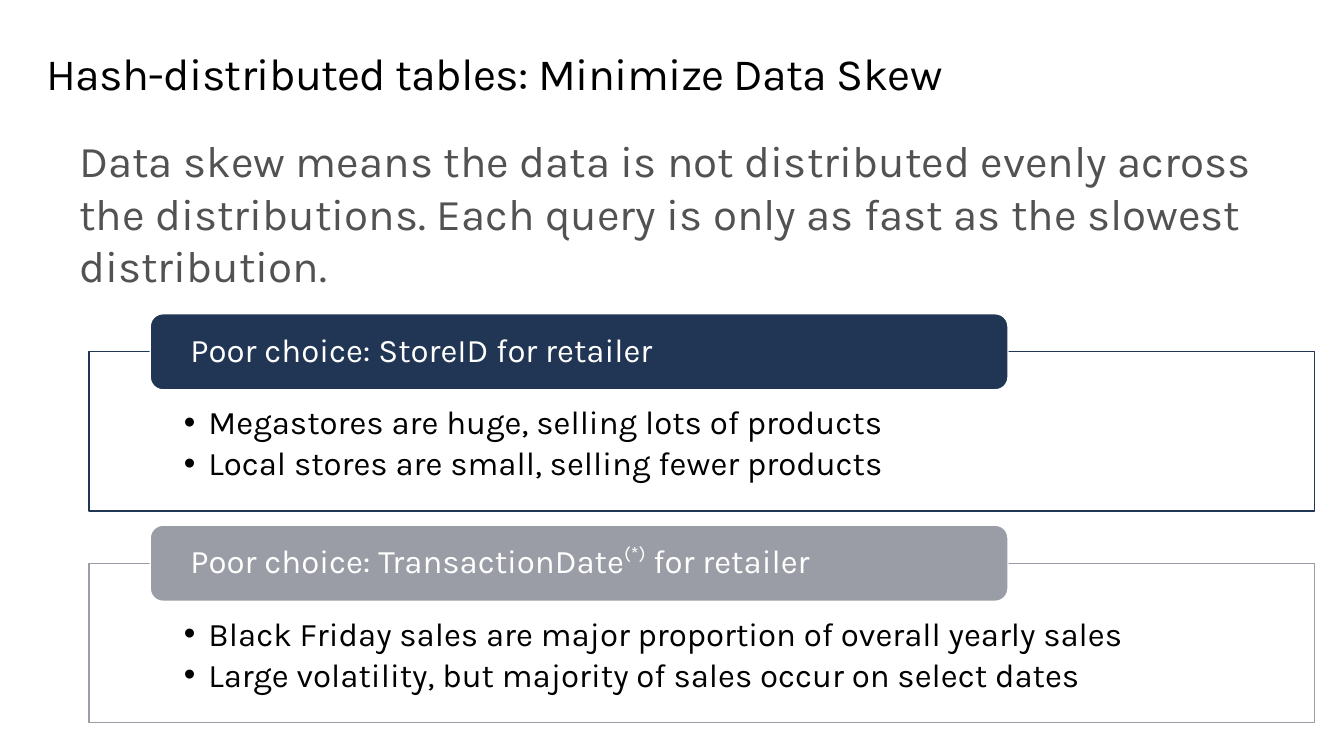
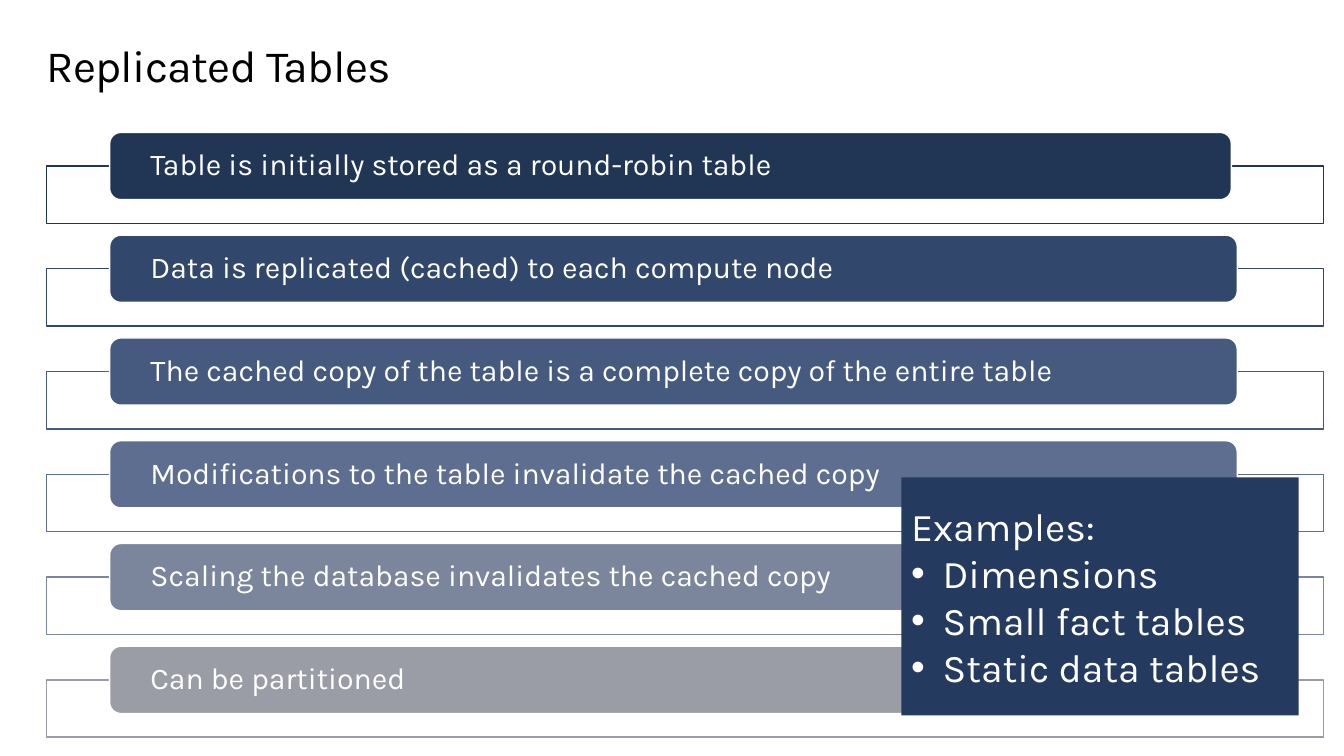
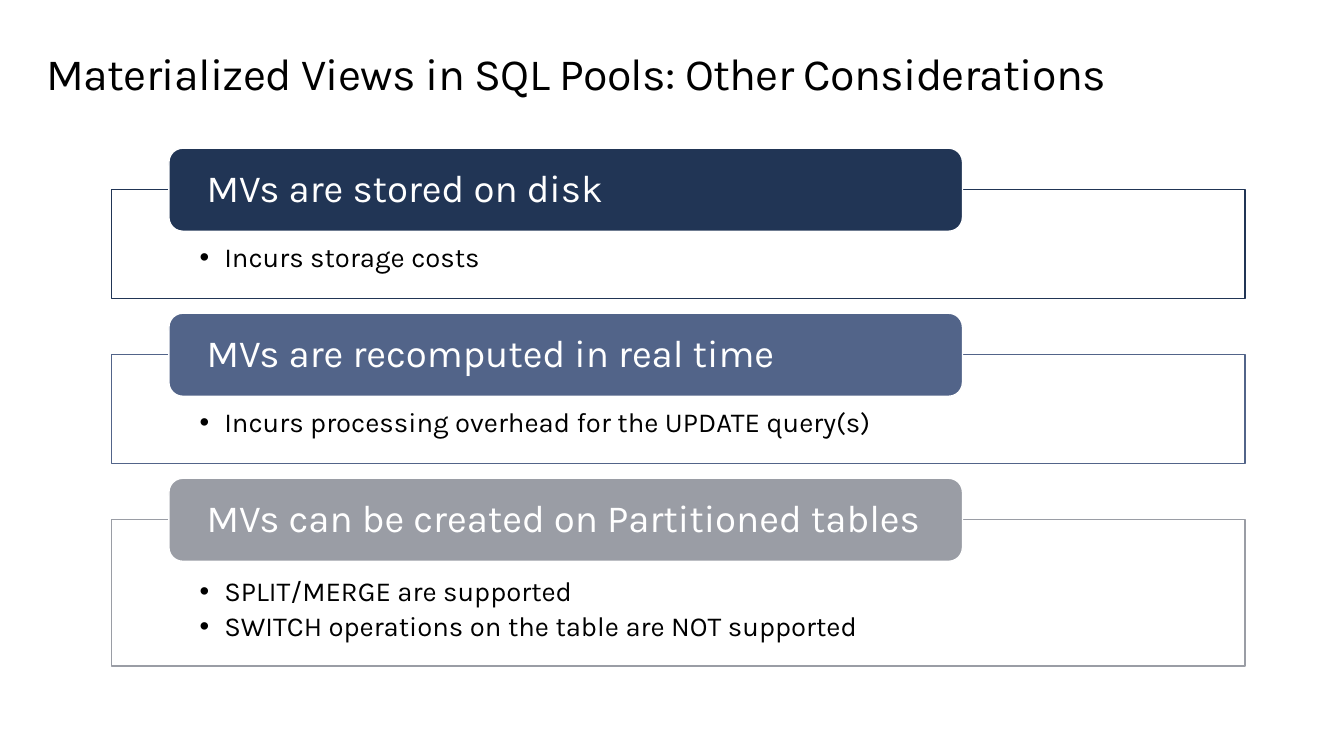
from lxml import etree
from pptx import Presentation
from pptx.dml.color import RGBColor
from pptx.enum.shapes import MSO_SHAPE
from pptx.enum.text import MSO_ANCHOR, PP_ALIGN
from pptx.oxml.ns import qn
from pptx.util import Inches, Pt

RECT, ROUNDED = MSO_SHAPE.RECTANGLE, MSO_SHAPE.ROUNDED_RECTANGLE
TOP, MIDDLE = MSO_ANCHOR.TOP, MSO_ANCHOR.MIDDLE
LEFT = PP_ALIGN.LEFT

FONT = "Karla"
COLORS = {
    "white": "FFFFFF", "black": "000000", "gray text": "525252",
    "navy": "213555", "callout navy": "243A5E", "blue 2": "32476C",
    "blue 3": "465A80", "blue 4": "5E6E91", "blue 5": "7B859B",
    "mid blue": "526489", "gray": "9A9DA5",
}

# Content: each section is (heading, colour, bullets); a heading is a list of
# runs, where a run in a tuple is superscript
SKEW_TITLE = "Hash-distributed tables: Minimize Data Skew"
SKEW_INTRO = ("Data skew means the data is not distributed evenly across the "
              "distributions. Each query is only as fast as the slowest distribution.")
SKEW_SECTIONS = [
    (["Poor choice: StoreID for retailer"], "navy",
     ["Megastores are huge, selling lots of products",
      "Local stores are small, selling fewer products"]),
    (["Poor choice: TransactionDate", ("(*)",), " for retailer"], "gray",
     ["Black Friday sales are major proportion of overall yearly sales",
      "Large volatility, but majority of sales occur on select dates"]),
]

REPLICATED_TITLE = "Replicated Tables"
REPLICATED_SECTIONS = [
    (["Table is initially stored as a round-robin table"], "navy", []),
    (["Data is replicated (cached) to each compute node"], "blue 2", []),
    (["The cached copy of the table is a complete copy of the entire table"], "blue 3", []),
    (["Modifications to the table invalidate the cached copy"], "blue 4", []),
    (["Scaling the database invalidates the cached copy"], "blue 5", []),
    (["Can be partitioned"], "gray", []),
]
EXAMPLES_HEADING = "Examples:"
EXAMPLES = ["Dimensions", "Small fact tables", "Static data tables"]

VIEWS_TITLE = "Materialized Views in SQL Pools: Other Considerations"
VIEWS_SECTIONS = [
    (["MVs are stored on disk"], "navy", ["Incurs storage costs"]),
    (["MVs are recomputed in real time"], "mid blue",
     ["Incurs processing overhead for the UPDATE query(s)"]),
    (["MVs can be created on Partitioned tables"], "gray",
     ["SPLIT/MERGE are supported",
      "SWITCH operations on the table are NOT supported"]),
]

# Stack geometry in inches; frame heights are keyed by the number of bullets
SKEW_STACK = dict(left=0.9, top=3.56, width=12.4, heights={2: 1.61}, gap=0.53,
                  tab_left=1.52, tab_widths=[8.68] * 2, tab_height=0.77,
                  tab_inset=0.37, tab_size=24, body_inset=(0.96, 0.55), body_size=24)
REPLICATED_STACK = dict(left=0.47, top=1.68, width=12.92, heights={0: 0.58}, gap=0.46,
                        tab_left=1.11, tab_widths=[11.35] + [11.41] * 5, tab_height=0.68,
                        tab_inset=0.38, tab_size=22)
VIEWS_STACK = dict(left=1.13, top=1.92, width=11.47, heights={1: 1.1, 2: 1.48}, gap=0.57,
                   tab_left=1.71, tab_widths=[8.03] * 3, tab_height=0.84,
                   tab_inset=0.34, tab_size=28, body_inset=(0.89, 0.59), body_size=20)


def rgb(name):
    return RGBColor.from_string(COLORS[name])


def add_bullet(paragraph, indent):
    props = paragraph._p.get_or_add_pPr()
    props.set("marL", str(Inches(indent)))
    props.set("indent", str(-Inches(indent)))
    etree.SubElement(props, qn("a:buFont")).set("typeface", "Arial")
    etree.SubElement(props, qn("a:buChar")).set("char", "•")


def write(shape, paragraphs, size, color, insets=(0, 0), anchor=TOP,
          indent=None, plain_first=False, line=None, after=None, tracking=None):
    """Fill a shape with paragraphs, each a list of runs."""
    frame = shape.text_frame
    frame.word_wrap = True
    frame.vertical_anchor = anchor
    frame.margin_left = frame.margin_right = Inches(insets[0])
    frame.margin_top = frame.margin_bottom = Inches(insets[1])
    for i, runs in enumerate(paragraphs):
        paragraph = frame.add_paragraph() if i else frame.paragraphs[0]
        if indent and not (plain_first and i == 0):
            add_bullet(paragraph, indent)
        paragraph.alignment = LEFT
        if line:
            paragraph.line_spacing = line
        if after:
            paragraph.space_after = Pt(after)
        for text in runs:
            raised = isinstance(text, tuple)
            run = paragraph.add_run()
            run.text = text[0] if raised else text
            run.font.name, run.font.size = FONT, Pt(size)
            run.font.color.rgb = rgb(color)
            props = run._r.get_or_add_rPr()
            if raised:
                props.set("baseline", "40000")
            if tracking:
                props.set("spc", str(int(tracking * 100)))


def add_panel(slide, kind, box, fill, outline=None):
    panel = slide.shapes.add_shape(kind, *map(Inches, box))
    panel.shadow.inherit = False
    panel.fill.solid()
    panel.fill.fore_color.rgb = rgb(fill)
    if outline:
        panel.line.color.rgb = rgb(outline)
        panel.line.width = Pt(1)
    else:
        panel.line.fill.background()
    return panel


def add_text(slide, box, text, **style):
    write(slide.shapes.add_textbox(*map(Inches, box)), [[text]], **style)


def add_titled_slide(deck, title, top=0.49):
    slide = deck.slides.add_slide(deck.slide_layouts[6])
    add_text(slide, (0.47, top, 12.4, 0.51), title, size=32.6, color="black",
             line=Pt(36.9), tracking=-0.5)
    return slide


def add_stack(slide, sections, left, top, width, heights, gap, tab_left, tab_widths,
              tab_height, tab_inset, tab_size, body_inset=None, body_size=None):
    """Stack outlined frames, each with a heading tab centred on its top edge."""
    for (heading, color, bullets), tab_width in zip(sections, tab_widths):
        height = heights[len(bullets)]
        body = add_panel(slide, RECT, (left, top, width, height), "white", color)
        if bullets:
            write(body, [[bullet] for bullet in bullets], body_size, "black",
                  insets=body_inset, indent=0.25, line=0.9, after=body_size * 0.17)
        tab = add_panel(slide, ROUNDED,
                        (tab_left, top - tab_height / 2, tab_width, tab_height),
                        color, "white")
        write(tab, [heading], tab_size, "white", insets=(tab_inset, 0),
              anchor=MIDDLE, line=0.9)
        top += height + gap


def main():
    deck = Presentation()
    deck.slide_width, deck.slide_height = Inches(13.6), Inches(7.65)

    # Data skew
    skew = add_titled_slide(deck, SKEW_TITLE)
    add_text(skew, (0.8, 1.35, 12.5, 1.62), SKEW_INTRO, size=32, color="gray text")
    add_stack(skew, SKEW_SECTIONS, **SKEW_STACK)

    # Replicated tables, with the examples on top
    replicated = add_titled_slide(deck, REPLICATED_TITLE, top=0.41)
    add_stack(replicated, REPLICATED_SECTIONS, **REPLICATED_STACK)
    examples = add_panel(replicated, RECT, (9.12, 4.83, 4.02, 2.41), "callout navy")
    write(examples, [[text] for text in [EXAMPLES_HEADING] + EXAMPLES], 28.6, "white",
          insets=(0.1, 0.05), anchor=MIDDLE, indent=0.32, plain_first=True)

    # Materialized views
    views = add_titled_slide(deck, VIEWS_TITLE)
    add_stack(views, VIEWS_SECTIONS, **VIEWS_STACK)

    deck.save("out.pptx")


if __name__ == "__main__":
    main()
